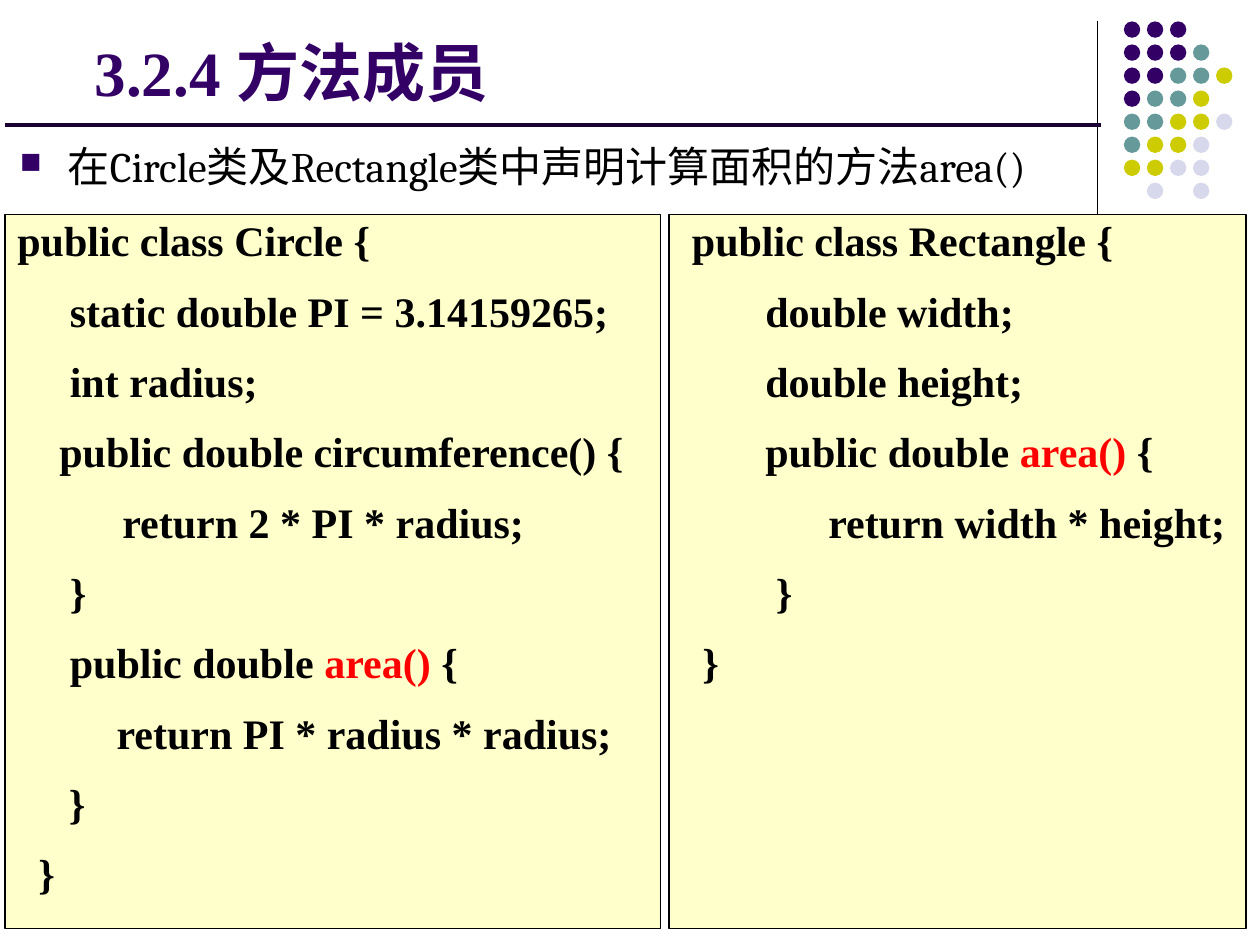
"""Build the slide on method members of the Circle and Rectangle classes."""
from lxml.etree import SubElement
from pptx import Presentation
from pptx.dml.color import RGBColor
from pptx.enum.shapes import MSO_CONNECTOR as Connector, MSO_SHAPE as Shape
from pptx.enum.text import MSO_ANCHOR as Anchor, MSO_AUTO_SIZE as AutoSize, PP_ALIGN as Align
from pptx.oxml.ns import qn
from pptx.util import Inches, Pt

PURPLE = RGBColor(0x33, 0x00, 0x66)
DARK_PURPLE = RGBColor(0x19, 0x00, 0x33)
TEAL = RGBColor(0x66, 0x99, 0x99)
OLIVE = RGBColor(0xCC, 0xCC, 0x00)
LAVENDER = RGBColor(0xD8, 0xD8, 0xEC)
CREAM = RGBColor(0xFF, 0xFF, 0xCC)
BLACK = RGBColor(0x00, 0x00, 0x00)
RED = RGBColor(0xFF, 0x00, 0x00)
CJK_FONT = "Noto Sans CJK SC"

TITLE = "3.2.4 方法成员"
INTRO = "在Circle类及Rectangle类中声明计算面积的方法area()"
HIGHLIGHT = "area()"
CIRCLE_CODE = [
    "public class Circle {",
    "     static double PI = 3.14159265;",
    "     int radius;",
    "    public double circumference() {",
    "          return 2 * PI * radius;",
    "     }",
    "     public double area() {",
    "    　  return PI * radius * radius;",
    "　 }",
    "  }",
]
RECTANGLE_CODE = [
    " public class Rectangle {",
    "        double width;",
    "        double height;",
    "        public double area() {",
    "              return width * height;",
    "         }",
    "  }",
]
CODE_PANELS = [(0.04, 5.2, CIRCLE_CODE), (5.31, 4.58, RECTANGLE_CODE)]
RULES = [
    ((8.71, 0.17), (8.71, 1.83), BLACK, 0.75),
    ((0.04, 0.99), (8.74, 0.99), DARK_PURPLE, 2.25),
]
DOT_ROWS = ["PPP", "PPPT", "PPTTO", "PTTO", "TTOOL", "TOOL", "OOLL", " L L"]
DOT_COLORS = {"P": PURPLE, "T": TEAL, "O": OLIVE, "L": LAVENDER}
DOT_LEFT, DOT_TOP, DOT_SIZE, DOT_PITCH = 8.92, 0.17, 0.13, 1.28 / 7

TITLE_FORMAT = {"name": "Times New Roman", "size": Pt(36), "bold": True}
INTRO_FORMAT = {"name": "Cambria", "size": Pt(24), "bold": False}
CODE_FORMAT = {"name": "Times New Roman", "size": Pt(24), "bold": True}


def add_span(para, text, formats, color):
    span = para.add_run()
    span.text = text
    for key, value in formats.items():
        setattr(span.font, key, value)
    span.font.color.rgb = color
    SubElement(span.font._element, qn("a:ea"), typeface=CJK_FONT)


def indent(para, left, first):
    properties = para._p.get_or_add_pPr()
    properties.set("marL", str(Inches(left)))
    properties.set("indent", str(Inches(first)))
    return properties


def set_frame(frame, anchor):
    frame.word_wrap = True
    frame.auto_size = AutoSize.NONE
    frame.vertical_anchor = anchor


def add_rule(page, start, end, color, width):
    ends = [Inches(value) for value in start + end]
    rule = page.shapes.add_connector(Connector.STRAIGHT, *ends)
    rule.line.color.rgb = color
    rule.line.width = Pt(width)
    SubElement(rule._element.spPr, qn("a:effectLst"))


def add_dots(page):
    group = page.shapes.add_group_shape()
    for row, letters in enumerate(DOT_ROWS):
        for column, letter in enumerate(letters):
            if letter in DOT_COLORS:
                dot = group.shapes.add_shape(
                    Shape.OVAL,
                    Inches(DOT_LEFT + column * DOT_PITCH),
                    Inches(DOT_TOP + row * DOT_PITCH),
                    Inches(DOT_SIZE), Inches(DOT_SIZE))
                dot.shadow.inherit = False
                dot.fill.solid()
                dot.fill.fore_color.rgb = DOT_COLORS[letter]
                dot.line.fill.background()


def add_title(page):
    title = page.shapes.title
    title.left, title.top = Inches(0.27), Inches(0.13)
    title.width, title.height = Inches(7.42), Inches(0.79)
    set_frame(title.text_frame, Anchor.BOTTOM)
    para = title.text_frame.paragraphs[0]
    para.alignment = Align.LEFT
    indent(para, 0.38, 0)
    add_span(para, TITLE, TITLE_FORMAT, PURPLE)


def add_intro(page):
    box = page.shapes.add_textbox(Inches(0.06), Inches(1.07), Inches(9), Inches(0.63))
    set_frame(box.text_frame, Anchor.TOP)
    para = box.text_frame.paragraphs[0]
    properties = indent(para, 0.38, -0.38)
    bullet_color = SubElement(properties, qn("a:buClr"))
    SubElement(bullet_color, qn("a:srgbClr"), val=str(PURPLE))
    SubElement(properties, qn("a:buSzPct"), val="70000")
    SubElement(properties, qn("a:buChar"), char="■")
    add_span(para, INTRO, INTRO_FORMAT, BLACK)


def add_code_panel(page, left, width, lines):
    panel = page.shapes.add_shape(
        Shape.RECTANGLE, Inches(left), Inches(1.7), Inches(width), Inches(5.67))
    panel.shadow.inherit = False
    panel.fill.solid()
    panel.fill.fore_color.rgb = CREAM
    panel.line.color.rgb = BLACK
    panel.line.width = Pt(0.75)
    frame = panel.text_frame
    set_frame(frame, Anchor.TOP)
    for number, line in enumerate(lines):
        para = frame.add_paragraph() if number else frame.paragraphs[0]
        para.alignment = Align.LEFT
        para.line_spacing = 0.9
        para.space_before = Pt(14.3 if number else 0)
        for part, color in zip(line.partition(HIGHLIGHT), (BLACK, RED, BLACK)):
            if part:
                add_span(para, part, CODE_FORMAT, color)


def main():
    deck = Presentation()
    deck.slide_width, deck.slide_height = Inches(10), Inches(7.5)
    page = deck.slides.add_slide(deck.slide_layouts[5])
    divider, underline = RULES
    add_rule(page, *divider)
    add_dots(page)
    add_intro(page)
    for left, width, lines in CODE_PANELS:
        add_code_panel(page, left, width, lines)
    add_rule(page, *underline)
    add_title(page)
    deck.save("out.pptx")


if __name__ == "__main__":
    main()
